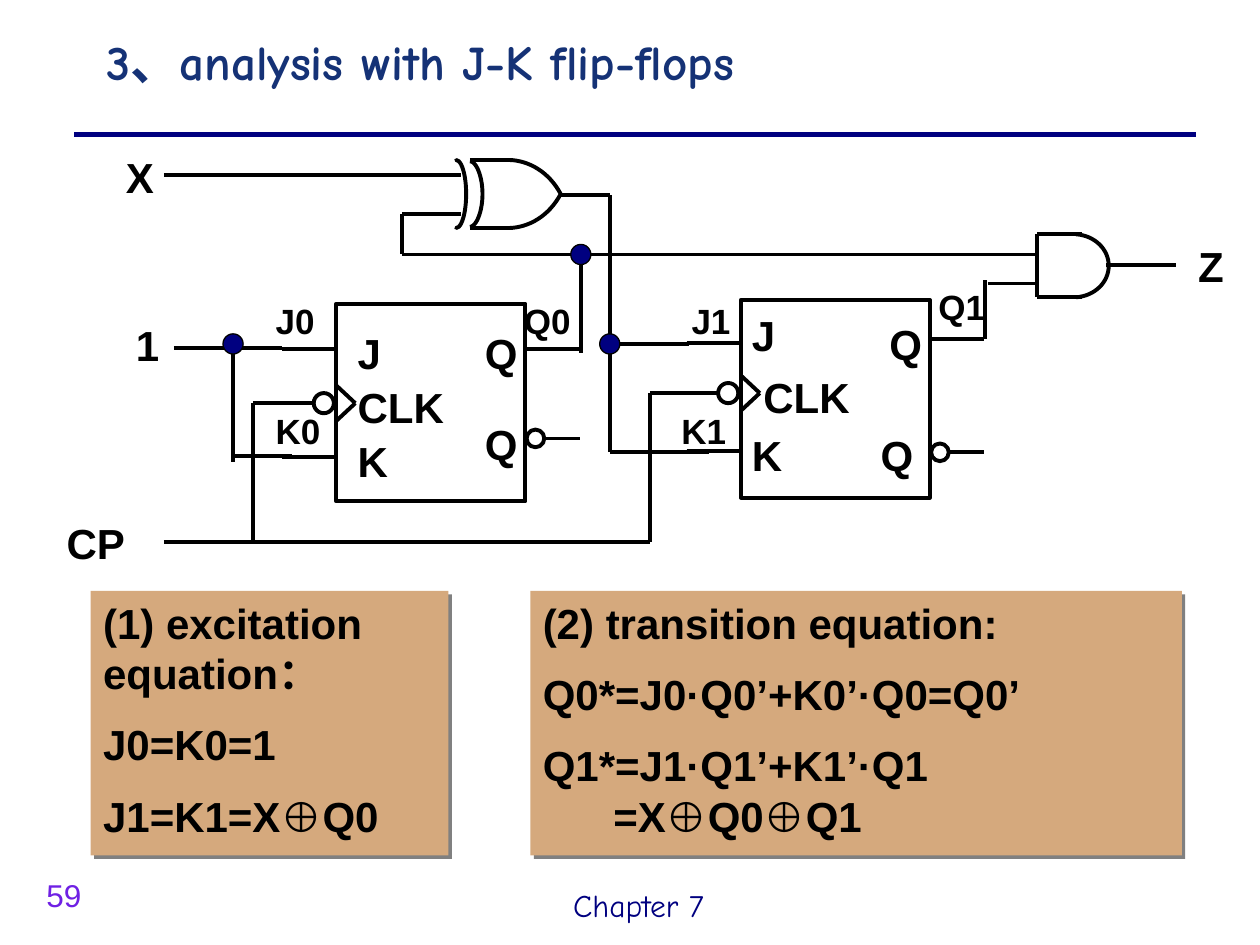
from lxml.etree import SubElement
from pptx import Presentation
from pptx.dml.color import RGBColor
from pptx.enum.shapes import MSO_CONNECTOR as Connector, MSO_SHAPE as Shape
from pptx.enum.text import MSO_ANCHOR as Anchor
from pptx.oxml.ns import qn
from pptx.util import Inches, Pt

COLORS = {"navy": "000080", "title": "153276", "page": "6F20E4", "ink": "000000",
          "panel": "D5A97D", "shadow": "808080", "gate": "B4D7EB"}


def color(name):
    return RGBColor.from_string(COLORS[name])


def write(para, words, size, font="Arial", shade="ink", bold=True):
    for index, words_line in enumerate(words.split("\n")):
        if index:
            para.add_line_break()
        span = para.add_run()
        span.text = words_line
        span.font.size = Pt(size)
        span.font.name = font
        span.font.bold = bold
        span.font.color.rgb = color(shade)


def add_text(slide, left, top, width, height, words, size, **style):
    box = slide.shapes.add_textbox(Inches(left), Inches(top), Inches(width), Inches(height))
    box.text_frame.word_wrap = True
    write(box.text_frame.paragraphs[0], words, size, **style)
    return box


def add_line(slide, x1, y1, x2, y2, shade="ink", weight=2.25):
    line = slide.shapes.add_connector(
        Connector.STRAIGHT, Inches(x1), Inches(y1), Inches(x2), Inches(y2))
    line.line.color.rgb = color(shade)
    line.line.width = Pt(weight)
    SubElement(line._element.spPr, qn("a:effectLst"))


def add_path(slide, *points):
    for start, end in zip(points, points[1:]):
        add_line(slide, *start, *end)


def outline(shape, weight=2.25, fill=None):
    shape.shadow.inherit = False
    shape.line.color.rgb = color("ink")
    shape.line.width = Pt(weight)
    if fill:
        shape.fill.solid()
        shape.fill.fore_color.rgb = color(fill)
    else:
        shape.fill.background()


def add_shape(slide, kind, left, top, width, height, weight=2.25, fill=None):
    shape = slide.shapes.add_shape(
        kind, Inches(left), Inches(top), Inches(width), Inches(height))
    outline(shape, weight, fill)
    return shape


def add_curve(slide, left, top, *segments, steps=16):
    points = []
    for a, b, c, d in segments:
        for step in range(steps + 1):
            t = step / steps
            weights = ((1 - t) ** 3, 3 * t * (1 - t) ** 2, 3 * t * t * (1 - t), t ** 3)
            x, y = (sum(w * p[axis] for w, p in zip(weights, (a, b, c, d))) for axis in (0, 1))
            points.append((Inches(left + x), Inches(top + y)))
    builder = slide.shapes.build_freeform(*points[0])
    builder.add_line_segments(points[1:], close=False)
    outline(builder.convert_to_shape())


def add_xor_gate(slide, left, top):
    moon = add_shape(slide, Shape.MOON, left, top, 0.08, 0.54, fill="gate")
    moon.adjustments[0] = 0
    moon._element.spPr.find(qn("a:xfrm")).set("flipH", "1")
    add_curve(slide, left, top,
              ((0.11, 0.01), (0.16, 0.01), (0.21, 0.13), (0.21, 0.27)),
              ((0.21, 0.27), (0.21, 0.41), (0.16, 0.53), (0.11, 0.53)))
    for y in (top, top + 0.54):
        add_line(slide, left + 0.11, y, left + 0.41, y)
    add_curve(slide, left, top,
              ((0.41, 0), (0.58, 0), (0.74, 0.1), (0.83, 0.27)),
              ((0.83, 0.27), (0.74, 0.44), (0.58, 0.54), (0.41, 0.54)))


def add_and_gate(slide, left, top):
    add_path(slide, (left + 0.36, top), (left, top), (left, top + 0.5), (left + 0.36, top + 0.5))
    add_curve(slide, left, top,
              ((0.31, 0), (0.46, 0.01), (0.57, 0.12), (0.57, 0.25)),
              ((0.57, 0.25), (0.57, 0.38), (0.46, 0.49), (0.31, 0.5)))


def add_flip_flop(slide, left, top, labels, j, clock, k, q, inverse):
    add_shape(slide, Shape.RECTANGLE, left, top, 1.5, 1.57)
    for words, x, y in labels:
        width = 1.14 if words == "CLK" else 0.57
        add_text(slide, left + x, top + y, width, 0.5, words, 24)
    for start, end, y in ((-0.43, 0, j), (-0.43, 0, k), (1.51, 1.93, q), (1.65, 1.93, inverse)):
        add_line(slide, left + start, top + y, left + end, top + y)
    add_path(slide, (left, top + clock - 0.14), (left + 0.15, top + clock),
             (left, top + clock + 0.14))
    add_shape(slide, Shape.OVAL, left + 1.51, top + inverse - 0.07, 0.14, 0.14)
    add_shape(slide, Shape.OVAL, left - 0.18, top + clock - 0.08, 0.16, 0.16)


def add_wiring(slide):
    wires = [
        [(1.3, 1.39), (3.66, 1.39)],
        [(3.66, 1.7), (3.19, 1.7), (3.19, 2.02), (8.23, 2.02)],
        [(4.45, 1.55), (4.84, 1.55), (4.84, 3.59), (5.63, 3.59)],
        [(4.84, 2.73), (5.47, 2.73)],
        [(4.61, 2.8), (4.61, 2.02)],
        [(1.38, 2.76), (2.24, 2.76)],
        [(1.85, 2.8), (1.85, 3.67)],
        [(1.85, 3.62), (2.32, 3.62)],
        [(1.3, 4.3), (5.16, 4.3), (5.16, 3.12), (5.71, 3.12)],
        [(2.01, 4.3), (2.01, 3.2), (2.48, 3.2)],
        [(7.82, 2.69), (7.82, 2.22)],
        [(7.84, 2.25), (8.23, 2.25)],
        [(8.78, 2.1), (9.33, 2.1)],
    ]
    for wire in wires:
        add_path(slide, *wire)
    for x, y in ((4.84, 2.73), (4.61, 2.02), (1.85, 2.73)):
        add_shape(slide, Shape.OVAL, x - 0.08, y - 0.08, 0.16, 0.16, 0.75, "navy")


def add_signal_names(slide):
    for words, left, top, width in (("CP", 0.43, 4.06, 0.86), ("1", 0.98, 2.49, 0.39),
                                    ("X", 0.9, 1.15, 0.39), ("Z", 9.41, 1.86, 0.39)):
        add_text(slide, left, top, width, 0.5, words, 24)
    for words, left, top in (("J0", 2.09, 2.33), ("K0", 2.09, 3.2), ("J1", 5.39, 2.33),
                             ("K1", 5.31, 3.2), ("Q0", 4.06, 2.33), ("Q1", 7.35, 2.22)):
        add_text(slide, left, top, 0.63, 0.43, words, 20)


def add_equations(slide, left, top, width, height, equations):
    box = add_text(slide, left, top, width, height, equations[0], 24)
    box.fill.solid()
    box.fill.fore_color.rgb = color("panel")
    effects = SubElement(box._element.spPr, qn("a:effectLst"))
    shadow = SubElement(effects, qn("a:outerShdw"), dist=str(Pt(2.8)), dir="2700000",
                        algn="ctr", rotWithShape="0")
    SubElement(shadow, qn("a:srgbClr"), val=COLORS["shadow"])
    for words in equations[1:]:
        para = box.text_frame.add_paragraph()
        para.space_before = Pt(12)
        if "\n" in words:
            properties = para._p.get_or_add_pPr()
            properties.set("marL", str(Inches(0.56)))
            properties.set("indent", str(-Inches(0.56)))
        write(para, words, 24)


def add_frame(slide):
    add_line(slide, 0.59, 1.07, 9.49, 1.07, "navy", 3)
    title = add_text(slide, 0.75, 0.21, 8.74, 0.54, "3、analysis with J-K flip-flops", 28,
                     font="Comic Neue", shade="title")
    title.text_frame.vertical_anchor = Anchor.MIDDLE
    add_text(slide, 4.45, 6.98, 1.42, 0.4, "Chapter 7", 18,
             font="Comic Neue", shade="navy", bold=False)
    add_text(slide, 0.27, 6.9, 0.71, 0.4, "59", 18, shade="page", bold=False)


def main():
    deck = Presentation()
    deck.slide_width, deck.slide_height = Inches(10), Inches(7.5)
    slide = deck.slides.add_slide(deck.slide_layouts[6])
    add_frame(slide)
    add_equations(slide, 0.72, 4.69, 2.84, 2.1,
                  ["(1) excitation equation：", "J0=K0=1", "J1=K1=X⊕Q0"])
    add_equations(slide, 4.21, 4.69, 5.17, 2.1,
                  ["(2) transition equation:", "Q0*=J0·Q0’+K0’·Q0=Q0’",
                   "Q1*=J1·Q1’+K1’·Q1\n=X⊕Q0⊕Q1"])
    add_wiring(slide)
    add_signal_names(slide)
    add_xor_gate(slide, 3.62, 1.27)
    add_and_gate(slide, 8.23, 1.86)
    add_flip_flop(slide, 2.67, 2.41,
                  [("J", 0.07, 0.14), ("CLK", 0.07, 0.57), ("K", 0.07, 1),
                   ("Q", 1.08, 0.14), ("Q", 1.08, 0.86)],
                  j=0.36, clock=0.79, k=1.22, q=0.36, inverse=1.07)
    add_flip_flop(slide, 5.88, 2.38,
                  [("J", -0.01, 0.03), ("CLK", 0.08, 0.52), ("K", -0.01, 0.98),
                   ("Q", 1.08, 0.1), ("Q", 1.01, 0.98)],
                  j=0.34, clock=0.74, k=1.2, q=0.31, inverse=1.21)
    deck.save("out.pptx")


if __name__ == "__main__":
    main()
